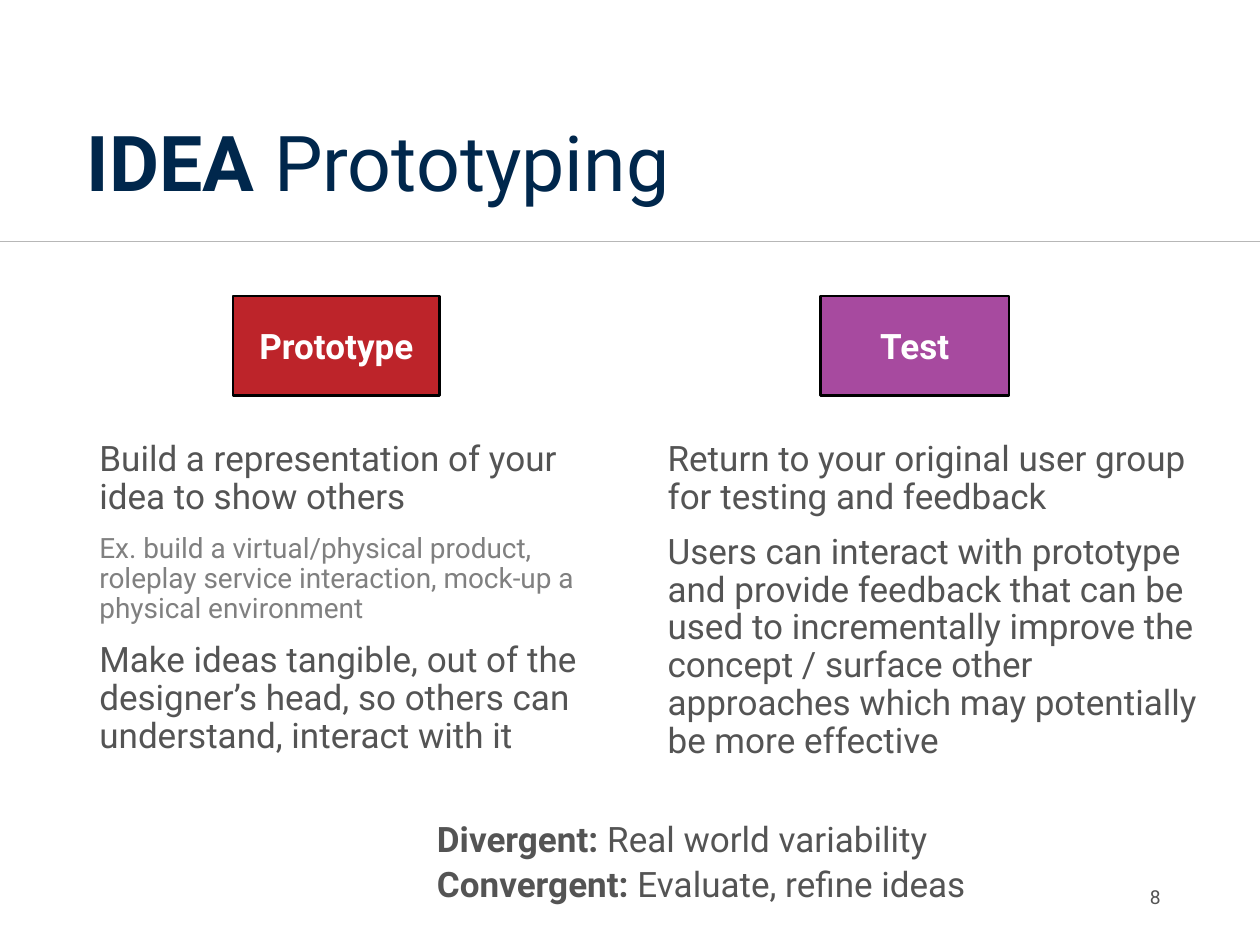
from lxml import etree
from pptx import Presentation
from pptx.dml.color import RGBColor
from pptx.enum.shapes import MSO_CONNECTOR, MSO_SHAPE
from pptx.enum.text import MSO_ANCHOR, PP_ALIGN
from pptx.oxml.ns import qn
from pptx.util import Inches, Pt

LEFT, CENTER, RIGHT = PP_ALIGN.LEFT, PP_ALIGN.CENTER, PP_ALIGN.RIGHT
TOP, MIDDLE, BOTTOM = MSO_ANCHOR.TOP, MSO_ANCHOR.MIDDLE, MSO_ANCHOR.BOTTOM
FONT = "Roboto"
COLORS = {
    "navy": "00274C", "text": "545454", "example": "808080", "rule": "B7B7B7",
    "red": "BD242A", "purple": "A74A9F", "black": "000000", "white": "FFFFFF",
}


def color(name):
    return RGBColor.from_string(COLORS[name])


def write(shape, paragraphs, anchor=TOP, insets=(0.1, 0.05, 0.1, 0.05),
          align=LEFT, line_spacing=1.0, space_before=0):
    """Fill a shape with paragraphs, each a list of (text, size, color, bold) runs."""
    frame = shape.text_frame
    left, top, right, bottom = (Inches(inset) for inset in insets)
    frame_format = {
        "word_wrap": True, "vertical_anchor": anchor, "margin_left": left,
        "margin_top": top, "margin_right": right, "margin_bottom": bottom,
    }
    for name, value in frame_format.items():
        setattr(frame, name, value)
    for index, runs in enumerate(paragraphs):
        paragraph = frame.add_paragraph() if index else frame.paragraphs[0]
        paragraph.alignment = align
        paragraph.line_spacing = line_spacing
        paragraph.space_before = Pt(space_before if index else 0)
        for text, size, color_name, bold in runs:
            run = paragraph.add_run()
            run.text = text
            font_format = {"name": FONT, "size": Pt(size), "bold": bold}
            for name, value in font_format.items():
                setattr(run.font, name, value)
            run.font.color.rgb = color(color_name)


presentation = Presentation()
presentation.slide_width = Inches(10)
presentation.slide_height = Inches(7.5)
slide = presentation.slides.add_slide(presentation.slide_layouts[6])
shapes = slide.shapes

# Title and the rule below it
rule = shapes.add_connector(
    MSO_CONNECTOR.STRAIGHT, 0, Inches(1.92), Inches(10), Inches(1.92))
rule.line.color.rgb = color("rule")
rule.line.width = Pt(0.5)
etree.SubElement(rule._element.spPr, qn("a:effectLst"))

title = shapes.add_textbox(Inches(0.69), Inches(0.4), Inches(8.62), Inches(1.45))
write(title, [[("IDEA ", 44, "navy", True), ("Prototyping", 44, "navy", False)]],
      anchor=BOTTOM, insets=(0, 0.05, 0.1, 0.2), line_spacing=0.9)

page_number = shapes.add_textbox(Inches(8.47), Inches(6.92), Inches(0.84), Inches(0.4))
write(page_number, [[("8", 11, "text", False)]], anchor=MIDDLE, align=RIGHT)

# Two columns of body text
columns = [
    (0.69, 4.31, 3.8, [
        ("Build a representation of your idea to show others", 20, "text"),
        ("Ex. build a virtual/physical product, roleplay service interaction, "
         "mock-up a physical environment", 16, "example"),
        ("Make ideas tangible, out of the designer’s head, so others can "
         "understand, interact with it", 20, "text"),
    ]),
    (5.2, 4.41, 3.45, [
        ("Return to your original user group for testing and feedback", 20, "text"),
        ("Users can interact with prototype and provide feedback that can be "
         "used to incrementally improve the concept / surface other approaches "
         "which may potentially be more effective", 20, "text"),
    ]),
]
for left, width, height, body in columns:
    column = shapes.add_textbox(Inches(left), Inches(3.3), Inches(width), Inches(height))
    write(column, [[(text, size, name, False)] for text, size, name in body],
          insets=(0.1, 0.2, 0.1, 0.05), line_spacing=0.9, space_before=10)

# Coloured column headings
headings = [("Prototype", 1.85, 1.64, "red"), ("Test", 6.51, 1.5, "purple")]
for label, left, width, fill in headings:
    heading = shapes.add_shape(
        MSO_SHAPE.RECTANGLE, Inches(left), Inches(2.35), Inches(width), Inches(0.79))
    heading.shadow.inherit = False
    heading.fill.solid()
    heading.fill.fore_color.rgb = color(fill)
    heading.line.color.rgb = color("black")
    heading.line.width = Pt(1.5)
    write(heading, [[(label, 20, "white", True)]], anchor=MIDDLE, align=CENTER)

# Thinking modes at the bottom
modes = [
    ("Divergent: ", "Real world variability", 6.44),
    ("Convergent: ", "Evaluate, refine ideas", 6.8),
]
for mode, meaning, top in modes:
    mode_box = shapes.add_textbox(Inches(3.37), Inches(top), Inches(5), Inches(0.44))
    write(mode_box, [[(mode, 20, "text", True), (meaning, 20, "text", False)]])

presentation.save("out.pptx")
